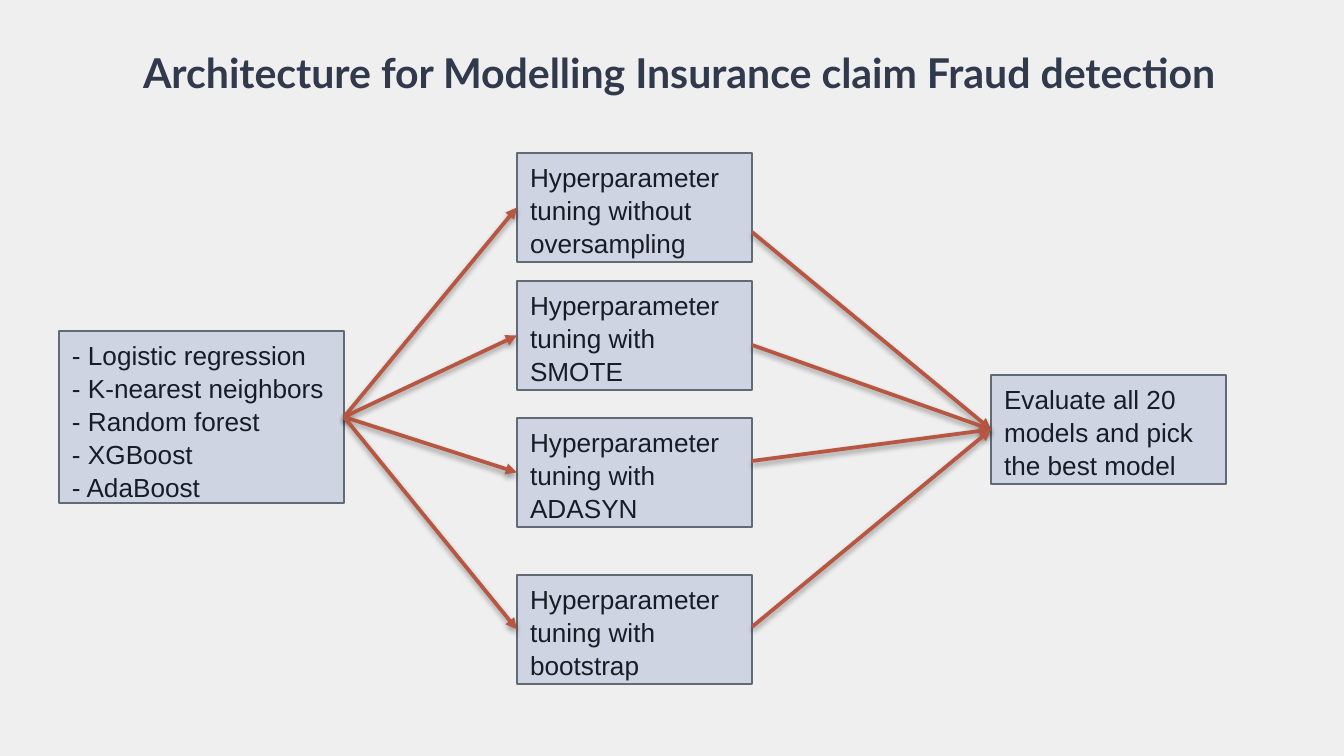
from lxml import etree
from pptx import Presentation
from pptx.dml.color import RGBColor
from pptx.enum.shapes import MSO_CONNECTOR, MSO_SHAPE
from pptx.enum.text import MSO_ANCHOR, MSO_AUTO_SIZE, PP_ALIGN
from pptx.oxml.ns import qn
from pptx.util import Emu, Pt

RECTANGLE = MSO_SHAPE.RECTANGLE
STRAIGHT = MSO_CONNECTOR.STRAIGHT
TOP = MSO_ANCHOR.TOP
LEFT = PP_ALIGN.LEFT
FIT_SHAPE = MSO_AUTO_SIZE.SHAPE_TO_FIT_TEXT
LEFT_SIDE, RIGHT_SIDE = 1, 3

PX_PER_INCH = 134.4
COLORS = {
    "background": "EFEFEF",
    "box": "CED4E1",
    "border": "626B73",
    "body": "181C26",
    "title": "31394D",
    "arrow": "B85741",
    "shadow": "000000",
}


def px(length):
    return Emu(round(length * 914400 / PX_PER_INCH))


def color(name):
    return RGBColor.from_string(COLORS[name])


def write(frame, text, *, font="Arial", size=14, ink="body", bold=False,
          margin=7, spacing=1.05):
    """Fill a text frame, one paragraph for each line of text."""
    frame.word_wrap = True
    frame.auto_size = FIT_SHAPE
    frame.vertical_anchor = TOP
    frame.margin_left = frame.margin_right = px(13)
    frame.margin_top = frame.margin_bottom = px(margin)
    for index, line in enumerate(text.split("\n")):
        paragraph = frame.add_paragraph() if index else frame.paragraphs[0]
        paragraph.alignment = LEFT
        paragraph.line_spacing = spacing
        run = paragraph.add_run()
        run.text = line
        run.font.name = font
        run.font.size = Pt(size)
        run.font.bold = bold
        run.font.color.rgb = color(ink)


class FlowSlide:
    def __init__(self, deck):
        self.slide = deck.slides.add_slide(deck.slide_layouts[6])
        self.slide.background.fill.solid()
        self.slide.background.fill.fore_color.rgb = color("background")

    def title(self, text, left, top, width, height):
        heading = self.slide.shapes.add_textbox(
            px(left), px(top), px(width), px(height))
        write(heading.text_frame, text, font="Lato", size=22, ink="title",
              bold=True, margin=13, spacing=1.0)

    def box(self, text, left, top, width=235, height=109):
        step = self.slide.shapes.add_shape(
            RECTANGLE, px(left), px(top), px(width), px(height))
        step.shadow.inherit = False
        step.fill.solid()
        step.fill.fore_color.rgb = color("box")
        step.line.color.rgb = color("border")
        step.line.width = Pt(0.75)
        write(step.text_frame, text)
        return step

    def arrow(self, source, target, start_y=None):
        """Join two boxes; start_y moves the start off the side's middle."""
        start_x = source.left + source.width
        start = source.top + source.height // 2 if start_y is None else px(start_y)
        link = self.slide.shapes.add_connector(
            STRAIGHT, start_x, start,
            target.left, target.top + target.height // 2)
        if start_y is None:
            link.begin_connect(source, RIGHT_SIDE)
        link.end_connect(target, LEFT_SIDE)
        link.line.color.rgb = color("arrow")
        link.line.width = Pt(2)
        etree.SubElement(link.line._get_or_add_ln(), qn("a:tailEnd"), type="triangle")
        effects = etree.SubElement(link._element.spPr, qn("a:effectLst"))
        shadow = etree.SubElement(
            effects, qn("a:outerShdw"), blurRad=str(Pt(3.1)), dist=str(Pt(1.6)),
            dir="5400000", rotWithShape="0")
        tint = etree.SubElement(shadow, qn("a:srgbClr"), val=COLORS["shadow"])
        etree.SubElement(tint, qn("a:alpha"), val="37000")


def main():
    deck = Presentation()
    deck.slide_width, deck.slide_height = px(1344), px(756)
    flow = FlowSlide(deck)
    flow.title("Architecture for Modelling Insurance claim Fraud detection",
               130, 34, 1140, 77)

    algorithms = ["Logistic regression", "K-nearest neighbors", "Random forest",
                  "XGBoost", "AdaBoost"]
    models = flow.box("\n".join(f"- {name}" for name in algorithms),
                      59, 331, 285, 172)
    evaluation = flow.box("Evaluate all 20 models and pick the best model", 991, 375)

    # sampling method, top of its box, start of its outgoing arrow
    tunings = [
        ("without oversampling", 153, 232),
        ("with SMOTE", 281, 345),
        ("with ADASYN", 418, 461),
        ("with bootstrap", 575, 627),
    ]
    for sampling, top, exit_y in tunings:
        tuning = flow.box(f"Hyperparameter tuning {sampling}", 517, top)
        flow.arrow(models, tuning)
        flow.arrow(tuning, evaluation, exit_y)

    deck.save("out.pptx")


if __name__ == "__main__":
    main()
